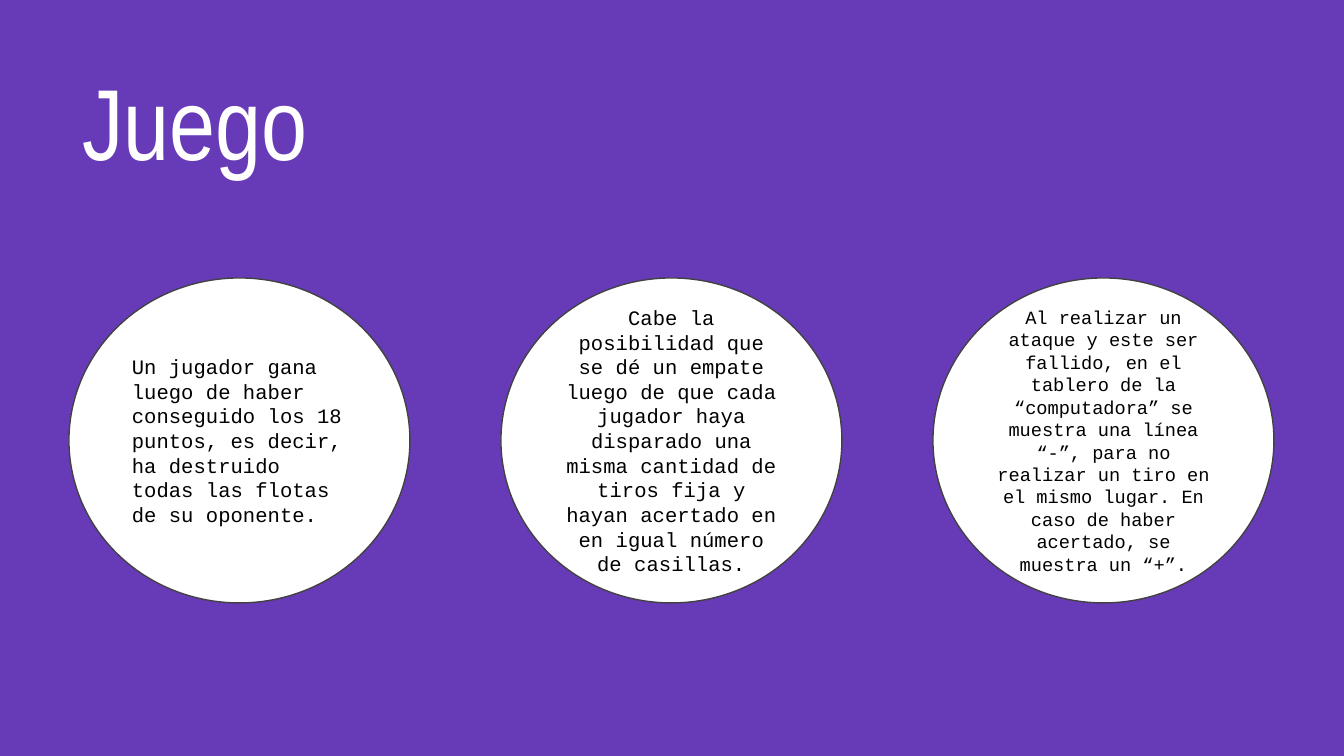
from pptx import Presentation
from pptx.dml.color import RGBColor
from pptx.enum.shapes import MSO_SHAPE as Shape
from pptx.enum.text import MSO_ANCHOR as Anchor, PP_ALIGN as Align
from pptx.util import Pt

EMU_PER_PX = 914400 / 134.4
COLORS = {"background": "673AB7", "white": "FFFFFF", "outline": "424242", "black": "000000"}
INSET = 13
CIRCLE_LEFT, CIRCLE_TOP, CIRCLE_PITCH = 69, 278, 432
CIRCLE_WIDTH, CIRCLE_HEIGHT = 341, 325

RULES = [
    ("Un jugador gana luego de haber conseguido los 18 puntos, es decir, "
     "ha destruido todas las flotas de su oponente.", 11, Align.LEFT),
    ("Cabe la posibilidad que se dé un empate luego de que cada jugador haya "
     "disparado una misma cantidad de tiros fija y hayan acertado en en igual "
     "número de casillas.", 11, Align.CENTER),
    ("Al realizar un ataque y este ser fallido, en el tablero de la “computadora” "
     "se muestra una línea “-”, para no realizar un tiro en el mismo lugar. "
     "En caso de haber acertado, se muestra un “+”.", 10, Align.CENTER),
]


def px(length):
    return round(length * EMU_PER_PX)


def color(name):
    return RGBColor.from_string(COLORS[name])


def write_text(shape, text, *, font, size, ink, align=Align.LEFT, bottom=INSET):
    """Put one vertically centred paragraph into a shape."""
    frame = shape.text_frame
    frame.word_wrap = True
    frame.vertical_anchor = Anchor.MIDDLE
    frame.margin_left = frame.margin_right = frame.margin_top = px(INSET)
    frame.margin_bottom = px(bottom)
    para = frame.paragraphs[0]
    para.alignment = align
    span = para.add_run()
    span.text = text
    span.font.name = font
    span.font.size = Pt(size)
    span.font.color.rgb = color(ink)


def add_title(page, text):
    box = page.shapes.add_textbox(px(69), px(77), px(308), px(202))
    # The deep bottom inset lifts the title to the upper part of its box.
    write_text(box, text, font="Arial Narrow", size=54, ink="white", bottom=129)


def add_rule_circle(page, left, text, size, align):
    circle = page.shapes.add_shape(
        Shape.OVAL, px(left), px(CIRCLE_TOP), px(CIRCLE_WIDTH), px(CIRCLE_HEIGHT))
    circle.shadow.inherit = False
    circle.fill.solid()
    circle.fill.fore_color.rgb = color("white")
    circle.line.color.rgb = color("outline")
    circle.line.width = Pt(0.75)
    write_text(circle, text, font="Courier New", size=size, ink="black", align=align)


def main():
    deck = Presentation()
    deck.slide_width, deck.slide_height = px(1344), px(756)
    page = deck.slides.add_slide(deck.slide_layouts[6])
    page.background.fill.solid()
    page.background.fill.fore_color.rgb = color("background")
    add_title(page, "Juego")
    for index, (text, size, align) in enumerate(RULES):
        add_rule_circle(page, CIRCLE_LEFT + index * CIRCLE_PITCH, text, size, align)
    deck.save("out.pptx")


if __name__ == "__main__":
    main()
